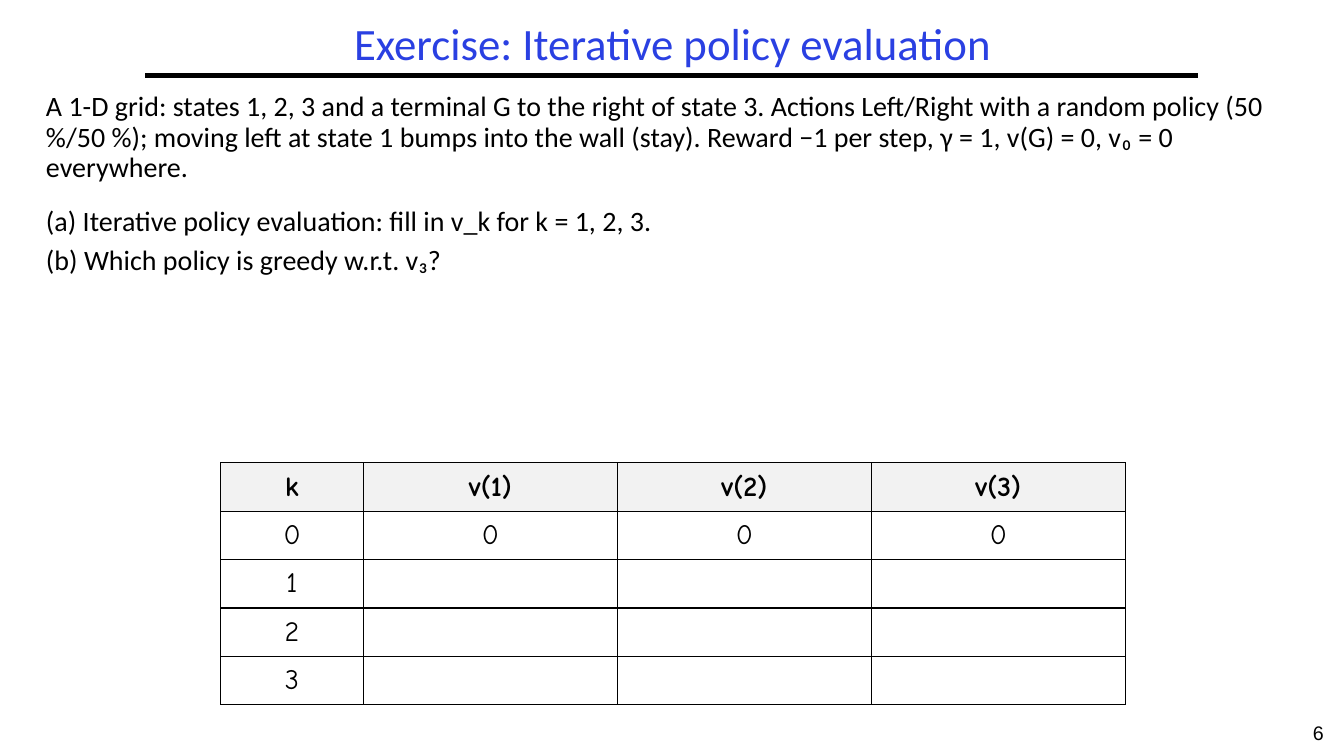
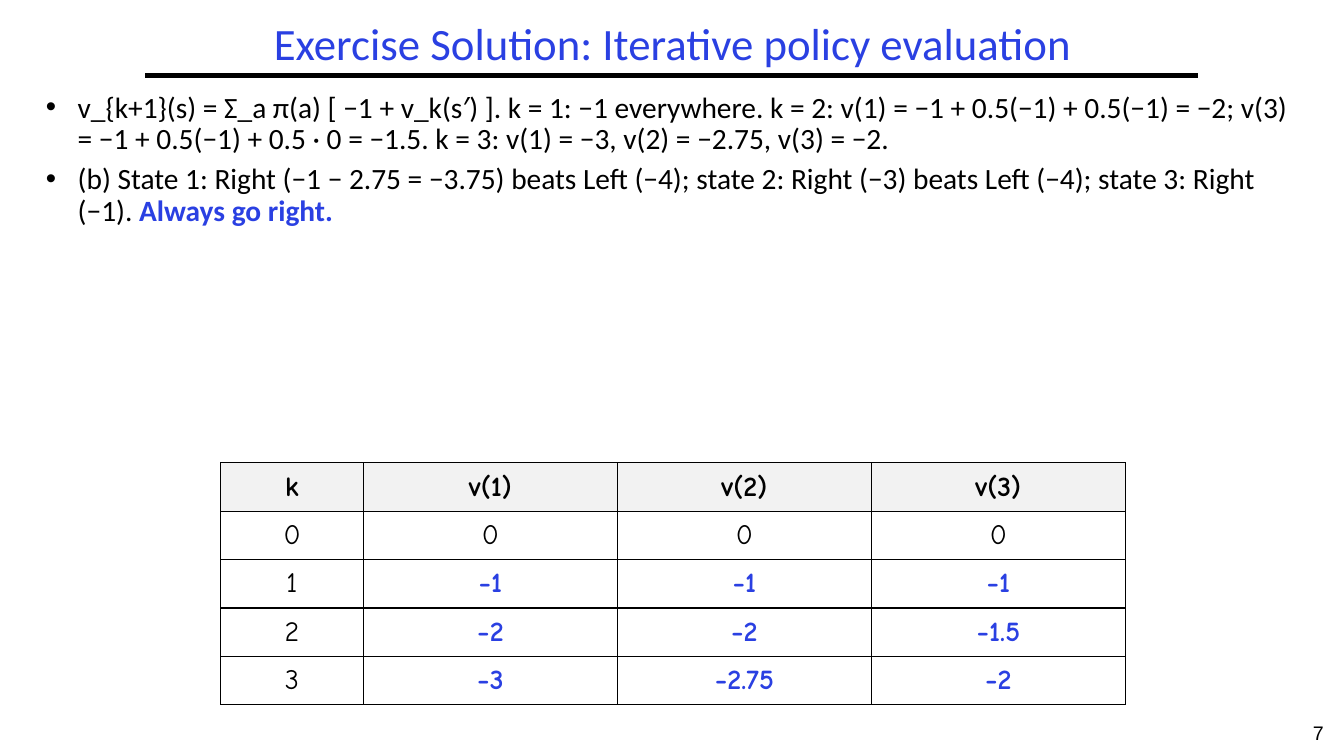
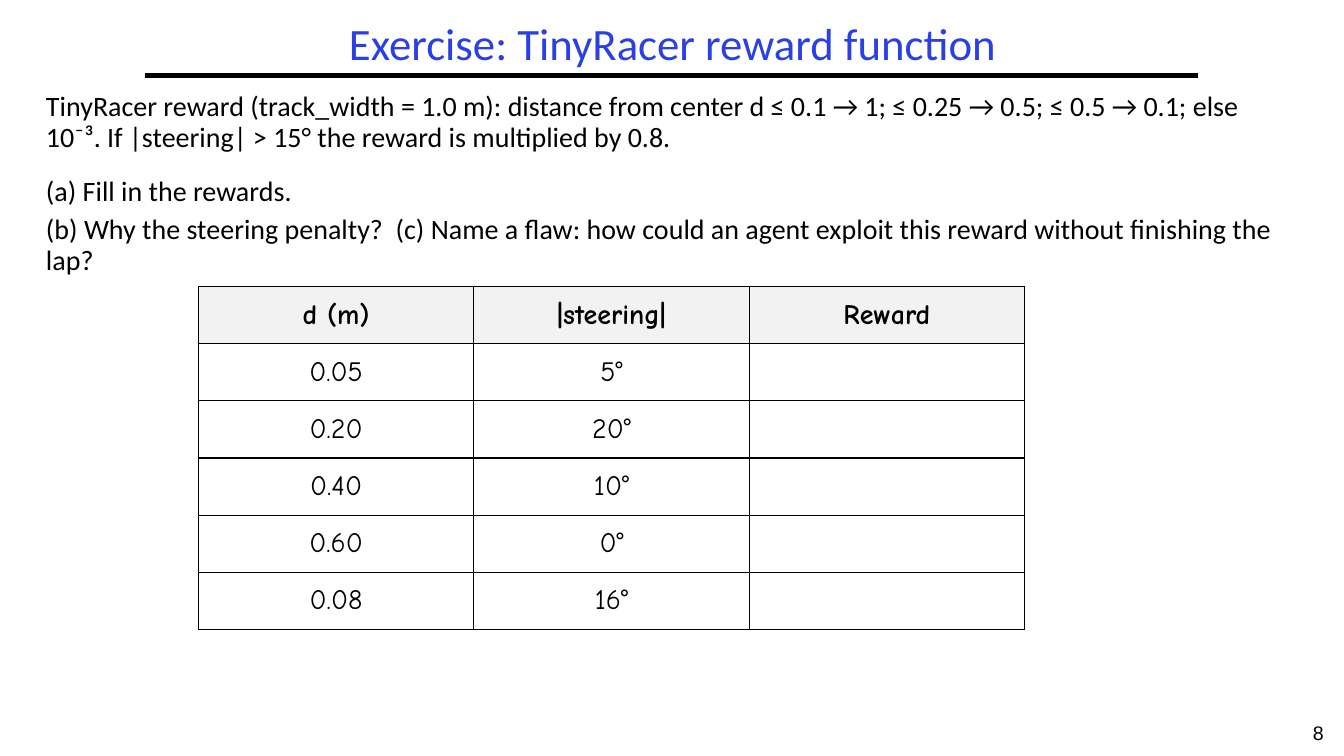
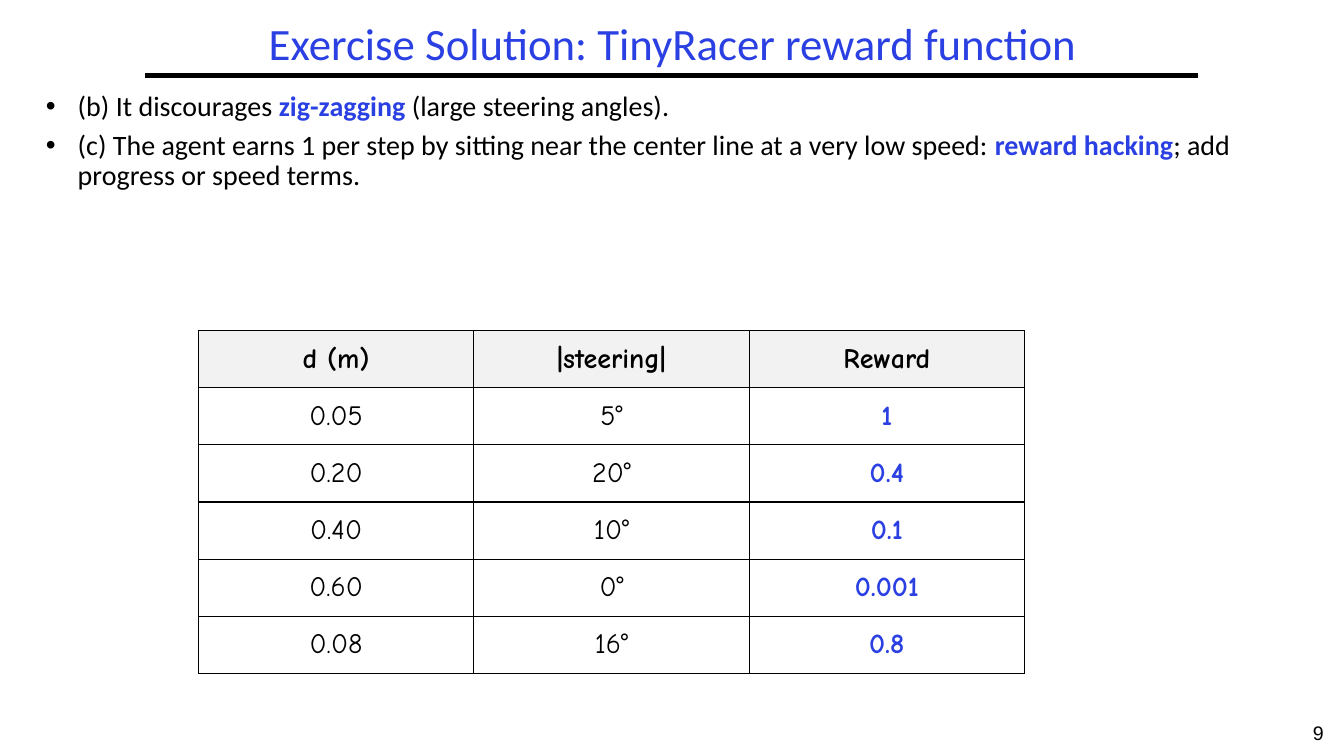
"""Build four exercise and solution slides on reinforcement learning."""
from dataclasses import dataclass

from lxml import etree
from pptx import Presentation
from pptx import util as u
from pptx.dml import color, fill as dml_fill
from pptx.enum import shapes, text
from pptx.oxml import ns
from pptx.slide import Slide
from pptx.table import _Cell
from pptx.text.text import Font, TextFrame, _Paragraph

BLACK, BLUE, HEADER_GREY = "000000", "2A40E2", "F2F2F2"
BODY_FONT, NUMBER_FONT, TABLE_FONT = "Calibri", "Arial", "Comic Neue"
MARK = "*"
FIRST_PAGE = 6
LINE_SPACING = 0.9
BULLET_INDENT = u.Cm(0.8)
ITEM_GAP, QUESTION_GAP = 6, 17


@dataclass(frozen=True)
class Grid:
    """A table whose marked cells are the answers."""
    left: float
    widths: tuple[float, ...]
    row_height: float
    rows: tuple[tuple[str, ...], ...]


@dataclass(frozen=True)
class Exercise:
    """One slide: title, body paragraphs and table."""
    title: str
    body: tuple[str, ...]
    grid: Grid
    grid_top: float
    solved: bool = False
    body_size: int = 20


VALUES = Grid(5.56, (3.6, 6.4, 6.4, 6.4), 1.22, (
    ("k", "v(1)", "v(2)", "v(3)"),
    ("0", "0", "0", "0"),
    ("1", "*−1*", "*−1*", "*−1*"),
    ("2", "*−2*", "*−2*", "*−1.5*"),
    ("3", "*−3*", "*−2.75*", "*−2*"),
))
REWARDS = Grid(5, (6.94, 6.94, 6.94), 1.44, (
    ("d (m)", "|steering|", "Reward"),
    ("0.05", "5°", "*1*"),
    ("0.20", "20°", "*0.4*"),
    ("0.40", "10°", "*0.1*"),
    ("0.60", "0°", "*0.001*"),
    ("0.08", "16°", "*0.8*"),
))

EXERCISES = (
    Exercise(
        "Exercise: Iterative policy evaluation",
        ("A 1-D grid: states 1, 2, 3 and a terminal G to the right of state 3. "
         "Actions Left/Right with a random policy (50 %/50 %); moving left at state 1 "
         "bumps into the wall (stay). Reward −1 per step, γ = 1, v(G) = 0, "
         "v₀ = 0 everywhere.",
         "(a) Iterative policy evaluation: fill in v_k for k = 1, 2, 3.",
         "(b) Which policy is greedy w.r.t. v₃?"),
        VALUES, 11.66),
    Exercise(
        "Exercise Solution: Iterative policy evaluation",
        ("v_{k+1}(s) = Σ_a π(a) [ −1 + v_k(s′) ]. k = 1: −1 everywhere. "
         "k = 2: v(1) = −1 + 0.5(−1) + 0.5(−1) = −2; "
         "v(3) = −1 + 0.5(−1) + 0.5 · 0 = −1.5. "
         "k = 3: v(1) = −3, v(2) = −2.75, v(3) = −2.",
         "(b) State 1: Right (−1 − 2.75 = −3.75) beats Left (−4); state 2: Right (−3) "
         "beats Left (−4); state 3: Right (−1). *Always go right.*"),
        VALUES, 11.66, solved=True, body_size=21),
    Exercise(
        "Exercise: TinyRacer reward function",
        ("TinyRacer reward (track_width = 1.0 m): distance from center d ≤ 0.1 → 1; "
         "≤ 0.25 → 0.5; ≤ 0.5 → 0.1; else 10⁻³. If |steering| > 15° the reward is "
         "multiplied by 0.8.",
         "(a) Fill in the rewards.",
         "(b) Why the steering penalty?  (c) Name a flaw: how could an agent exploit "
         "this reward without finishing the lap?"),
        REWARDS, 7.22),
    Exercise(
        "Exercise Solution: TinyRacer reward function",
        ("(b) It discourages *zig-zagging* (large steering angles).",
         "(c) The agent earns 1 per step by sitting near the center line at a very low "
         "speed: *reward hacking*; add progress or speed terms."),
        REWARDS, 8.33, solved=True),
)


def paint(target: dml_fill.FillFormat, hex_color: str) -> None:
    """Fill the target with a solid colour."""
    target.solid()
    target.fore_color.rgb = color.RGBColor.from_string(hex_color)


def style(font: Font, name: str, size: int, hex_color: str, bold: bool) -> None:
    """Set the four font properties."""
    font.name, font.size, font.bold = name, u.Pt(size), bold
    paint(font.fill, hex_color)


def write(paragraph: _Paragraph, content: str, name: str, size: int,
          hex_color: str = BLACK, bold: bool = False) -> None:
    """Write content, with marked parts in bold blue."""
    style(paragraph.font, name, size, hex_color, bold)
    for index, part in enumerate(content.split(MARK)):
        if part:
            run = paragraph.add_run()
            run.text = part
            if index % 2:
                style(run.font, name, size, BLUE, True)


def add_frame(slide: Slide, left: float, top: float, width: float,
              height: float) -> TextFrame:
    """Add a wrapping text box, measured in centimetres."""
    frame = slide.shapes.add_textbox(u.Cm(left), u.Cm(top), u.Cm(width),
                                     u.Cm(height)).text_frame
    frame.word_wrap = True
    return frame


def add_bullet(paragraph: _Paragraph) -> None:
    """Give the paragraph a hanging round bullet."""
    properties = paragraph._p.get_or_add_pPr()
    properties.set("marL", str(BULLET_INDENT))
    properties.set("indent", str(-BULLET_INDENT))
    etree.SubElement(properties, ns.qn("a:buFont"), typeface="Arial")
    etree.SubElement(properties, ns.qn("a:buChar"), char="•")


def add_header(slide: Slide, title: str, page: int) -> None:
    """Add the rule, page number and title."""
    rule = slide.shapes.add_connector(shapes.MSO_CONNECTOR.STRAIGHT, u.Cm(3.66),
                                      u.Cm(1.9), u.Cm(30.2), u.Cm(1.9))
    rule.line.width = u.Pt(3)
    paint(rule.line.fill, BLACK)
    etree.SubElement(rule._element.spPr, ns.qn("a:effectLst"))

    number = add_frame(slide, 32.59, 18.03, 1.27, 1.02).paragraphs[0]
    number.alignment = text.PP_ALIGN.CENTER
    write(number, str(page), NUMBER_FONT, 14)

    frame = add_frame(slide, 3.66, 0.43, 26.59, 1.47)
    frame.vertical_anchor = text.MSO_ANCHOR.MIDDLE
    heading = frame.paragraphs[0]
    heading.alignment = text.PP_ALIGN.CENTER
    heading.line_spacing = LINE_SPACING
    write(heading, title, BODY_FONT, 32, BLUE)


def add_body(slide: Slide, exercise: Exercise) -> None:
    """Add the questions, or the bulleted solution."""
    frame = add_frame(slide, 0.91, 2.21, 31.95, 5)
    for index, content in enumerate(exercise.body):
        paragraph = frame.add_paragraph() if index else frame.paragraphs[0]
        paragraph.line_spacing = LINE_SPACING
        if index:
            opens_questions = index == 1 and not exercise.solved
            paragraph.space_before = u.Pt(QUESTION_GAP if opens_questions else ITEM_GAP)
        if exercise.solved:
            add_bullet(paragraph)
        write(paragraph, content, BODY_FONT, exercise.body_size)


def add_borders(cell: _Cell) -> None:
    """Draw a thin black line on all sides of the cell."""
    properties = cell._tc.get_or_add_tcPr()
    for side in ("lnL", "lnR", "lnT", "lnB"):
        line = etree.SubElement(properties, ns.qn(f"a:{side}"), w=str(u.Pt(1)))
        solid = etree.SubElement(line, ns.qn("a:solidFill"))
        etree.SubElement(solid, ns.qn("a:srgbClr"), val=BLACK)


def add_grid(slide: Slide, grid: Grid, top: float, solved: bool) -> None:
    """Add the table, leaving answers blank unless solved."""
    table = slide.shapes.add_table(
        len(grid.rows), len(grid.widths), u.Cm(grid.left), u.Cm(top),
        u.Cm(sum(grid.widths)), u.Cm(grid.row_height * len(grid.rows))).table
    table.first_row = table.horz_banding = False
    for column, width in zip(table.columns, grid.widths):
        column.width = u.Cm(width)
    for row_index, row in enumerate(grid.rows):
        table.rows[row_index].height = u.Cm(grid.row_height)
        is_header = row_index == 0
        for column_index, content in enumerate(row):
            cell = table.cell(row_index, column_index)
            cell.margin_left = cell.margin_right = u.Cm(0.18)
            cell.margin_top = cell.margin_bottom = u.Cm(0.08)
            cell.vertical_anchor = text.MSO_ANCHOR.MIDDLE
            add_borders(cell)
            if is_header:
                paint(cell.fill, HEADER_GREY)
            else:
                cell.fill.background()
            if solved or MARK not in content:
                paragraph = cell.text_frame.paragraphs[0]
                paragraph.alignment = text.PP_ALIGN.CENTER
                write(paragraph, content, TABLE_FONT, 20, bold=is_header)


def main() -> None:
    """Build and save the presentation."""
    deck = Presentation()
    deck.slide_width, deck.slide_height = u.Cm(33.87), u.Cm(19.05)
    blank = deck.slide_layouts[6]
    for page, exercise in enumerate(EXERCISES, FIRST_PAGE):
        slide = deck.slides.add_slide(blank)
        add_header(slide, exercise.title, page)
        add_body(slide, exercise)
        add_grid(slide, exercise.grid, exercise.grid_top, exercise.solved)
    deck.save("out.pptx")


if __name__ == "__main__":
    main()
